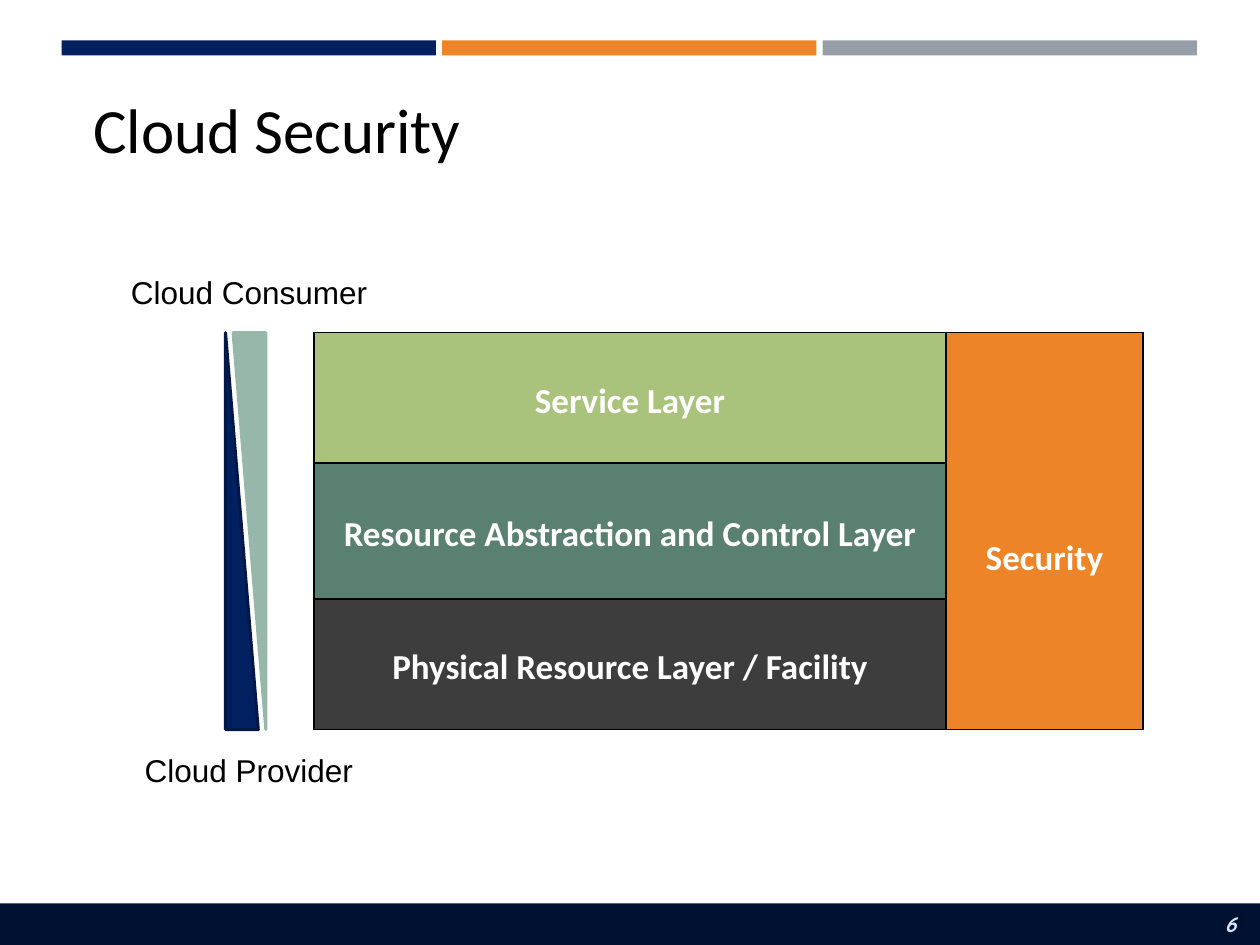
from lxml import etree
from pptx import Presentation
from pptx.dml.color import RGBColor
from pptx.enum.shapes import MSO_SHAPE
from pptx.enum.text import MSO_ANCHOR, PP_ALIGN
from pptx.oxml.ns import qn
from pptx.util import Inches, Pt

RECTANGLE, TRIANGLE = MSO_SHAPE.RECTANGLE, MSO_SHAPE.RIGHT_TRIANGLE
LEFT, CENTER, RIGHT = PP_ALIGN.LEFT, PP_ALIGN.CENTER, PP_ALIGN.RIGHT
TOP, MIDDLE = MSO_ANCHOR.TOP, MSO_ANCHOR.MIDDLE

# The slide is a grid of 100 columns by 75 rows
COLUMNS, ROWS = 100, 75
WIDTH, HEIGHT = Inches(10), Inches(7.5)

COLORS = {
    "navy": "002060", "navy line": "001847", "footer": "001030",
    "orange": "ED8428", "gray": "969FA7", "pale blue": "D6E3FF",
    "light green": "A9C37C", "green": "5A8071", "charcoal": "3D3D3D",
    "sage": "98B7AB", "black": "000000", "white": "FFFFFF",
}

LAYERS = [
    ("Service Layer", "light green", 10.35),
    ("Resource Abstraction and Control Layer", "green", 10.8),
    ("Physical Resource Layer / Facility", "charcoal", 10.35),
]
DIAGRAM_TOP = 26.4
DIAGRAM_HEIGHT = sum(height for _, _, height in LAYERS)


def color(name):
    return RGBColor.from_string(COLORS[name])


def across(columns):
    return round(WIDTH * columns / COLUMNS)


def down(rows):
    return round(HEIGHT * rows / ROWS)


def place(left, top, width, height):
    return across(left), down(top), across(width), down(height)


def write(frame, text, size, ink="black", font="Calibri", bold=False,
          italic=False, align=LEFT, line_spacing=None):
    paragraph = frame.paragraphs[0]
    paragraph.alignment = align
    paragraph.line_spacing = line_spacing
    run = paragraph.add_run()
    run.text = text
    run.font.name, run.font.size = font, Pt(size)
    run.font.bold, run.font.italic = bold, italic
    run.font.color.rgb = color(ink)


def add_text(slide, box, text, size, anchor=TOP, wrap=True, **text_format):
    frame = slide.shapes.add_textbox(*place(*box)).text_frame
    frame.word_wrap = wrap
    frame.vertical_anchor = anchor
    write(frame, text, size, **text_format)


def add_block(slide, kind, box, fill, line=None, rotation=0):
    shape = slide.shapes.add_shape(kind, *place(*box))
    shape.shadow.inherit = False
    shape.rotation = rotation
    shape.fill.solid()
    shape.fill.fore_color.rgb = color(fill)
    if line:
        shape.line.color.rgb = color(line)
        shape.line.width = Pt(1.75)
    else:
        shape.line.fill.background()


def add_borders(cell):
    properties = cell._tc.get_or_add_tcPr()
    for position, side in enumerate(("a:lnL", "a:lnR", "a:lnT", "a:lnB")):
        border = etree.Element(qn(side), w=str(Pt(1)))
        fill = etree.SubElement(border, qn("a:solidFill"))
        etree.SubElement(fill, qn("a:srgbClr"), val=COLORS["black"])
        properties.insert(position, border)


def fill_cell(cell, text, fill, margin_top=0):
    cell.fill.solid()
    cell.fill.fore_color.rgb = color(fill)
    cell.vertical_anchor = MIDDLE
    cell.margin_left = cell.margin_right = across(0.7)
    cell.margin_top, cell.margin_bottom = down(margin_top), 0
    write(cell.text_frame, text, 20, ink="white", bold=True, align=CENTER,
          line_spacing=1.15)


def add_layer_table(slide):
    widths = (50.2, 15.6)
    box = (24.9, DIAGRAM_TOP, sum(widths), DIAGRAM_HEIGHT)
    table = slide.shapes.add_table(len(LAYERS), 2, *place(*box)).table
    for column, width in zip(table.columns, widths):
        column.width = across(width)
    for index, (name, fill, height) in enumerate(LAYERS):
        table.rows[index].height = down(height)
        fill_cell(table.cell(index, 0), name, fill)

    # Security spans every layer, its label one line below the middle
    security = table.cell(0, 1)
    security.merge(table.cell(len(LAYERS) - 1, 1))
    fill_cell(security, "Security", "orange", margin_top=3.9)
    for cell in table.iter_cells():
        add_borders(cell)


def add_frame(slide):
    # Three bars at the top, footer band and page number
    for index, fill in enumerate(("navy", "orange", "gray")):
        add_block(slide, RECTANGLE, (4.9 + 30.2 * index, 3.2, 29.7, 1.2), fill)
    add_block(slide, RECTANGLE, (0, 71.7, COLUMNS, 3.3), "footer")
    add_text(slide, (84.1, 71.7, 15, 3.3), "6", 12, anchor=MIDDLE,
             ink="pale blue", font="Quicksand", bold=True, italic=True,
             align=RIGHT)


def add_responsibility_scale(slide):
    # Opposed wedges between the consumer and the provider
    add_block(slide, TRIANGLE, (17.9, DIAGRAM_TOP, 2.6, DIAGRAM_HEIGHT),
              "navy", line="navy line")
    add_block(slide, TRIANGLE, (18.5, DIAGRAM_TOP, 2.6, DIAGRAM_HEIGHT),
              "sage", line="sage", rotation=180)
    for text, box in (("Cloud Consumer", (9.4, 21.2, 21, 4)),
                      ("Cloud Provider", (10.5, 59.1, 18.7, 4))):
        add_text(slide, box, text, 18, wrap=False, font="Arial")


def main():
    presentation = Presentation()
    presentation.slide_width, presentation.slide_height = WIDTH, HEIGHT
    slide = presentation.slides.add_slide(presentation.slide_layouts[6])
    add_frame(slide)
    add_text(slide, (6.4, 5.3, 87.4, 9.8), "Cloud Security", 36, anchor=MIDDLE)
    add_layer_table(slide)
    add_responsibility_scale(slide)
    presentation.save("out.pptx")


if __name__ == "__main__":
    main()
